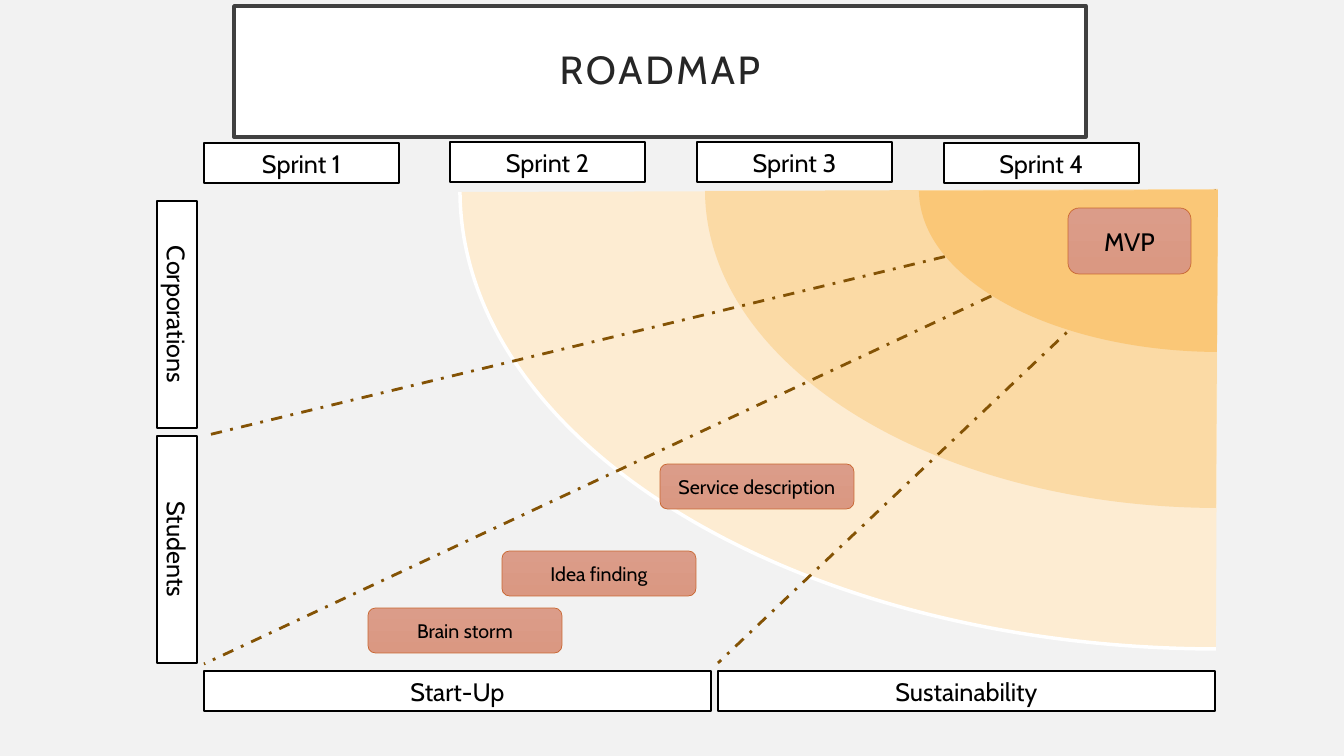
import copy
import pptx
import pptx.util
import pptx.dml.color
import pptx.enum.dml
import pptx.enum.shapes
import pptx.enum.text
import pptx.oxml.ns
import lxml.etree

RGB = pptx.dml.color.RGBColor
SHAPES = pptx.enum.shapes.MSO_SHAPE
MIDDLE = pptx.enum.text.MSO_ANCHOR.MIDDLE
CENTER = pptx.enum.text.PP_ALIGN.CENTER

BACKGROUND = RGB(0xF2, 0xF2, 0xF2)
WHITE = RGB(0xFF, 0xFF, 0xFF)
BLACK = RGB(0, 0, 0)
TITLE_TEXT = RGB(0x26, 0x26, 0x26)
TITLE_LINE = RGB(0x40, 0x40, 0x40)
RAY = RGB(0x84, 0x53, 0x05)
CARD_TOP = RGB(0xDB, 0x9C, 0x89)
CARD_BOTTOM = RGB(0xDA, 0x98, 0x82)
CARD_LINE = RGB(0xC9, 0x67, 0x31)
OUTER = RGB(0xFD, 0xEC, 0xD2)
MIDDLE_RING = RGB(0xFB, 0xDA, 0xA5)
INNER = RGB(0xFA, 0xC7, 0x77)
FONT = "Cabin"

# Content: places are left, top, width, height in pixels
TITLE = ("ROADMAP", (234, 6, 852, 131))
SPRINTS = [("Sprint 1", 204, 143), ("Sprint 2", 450, 142),
           ("Sprint 3", 697, 142), ("Sprint 4", 944, 143)]  # left, top
PHASES = [("Start-Up", 204, 507), ("Sustainability", 718, 497)]  # left, width
GROUPS = [("Corporations", 201), ("Students", 436)]  # visible top
CARDS = [
    ("Brain storm", (368, 608, 194, 45), 14),
    ("Service description", (660, 464, 194, 45), 14),
    ("Idea finding", (502, 551, 194, 45), 14),
    ("MVP", (1068, 208, 123, 66), 18),
]
# Each ring: four Bezier points of its arc, then its top right corner
OUTER_RING = [(1216, 649), (799, 648), (462, 445), (460, 192), (1218, 190)]
MID_RING = [(1216, 508), (934, 507), (706, 366), (705, 191), (1218, 189)]
INNER_RING = [(1217, 352), (1052, 351), (920, 279), (919, 191), (1218, 190)]
RAY_START = (1216, 191)
RAY_ENDS = [(204, 664), (718, 663), (204, 436)]

SCALE = 914400 / 100.8
BAR_HEIGHT = 40
SPRINT_WIDTH = 195
GROUP_LENGTH = 227


def px(*values):
    return [pptx.util.Emu(round(value * SCALE)) for value in values]


def outline(shape, color, width):
    shape.line.color.rgb = color
    shape.line.width = pptx.util.Pt(width)


def write(shape, text, size, color=BLACK):
    frame = shape.text_frame
    frame.word_wrap = True
    frame.vertical_anchor = MIDDLE
    para = frame.paragraphs[0]
    para.alignment = CENTER
    span = para.add_run()
    span.text = text
    span.font.name = FONT
    span.font.size = pptx.util.Pt(size)
    span.font.color.rgb = color
    return span


def add_label(text, place, rotation=0):
    box = page.shapes.add_textbox(*px(*place))
    box.fill.solid()
    box.fill.fore_color.rgb = WHITE
    outline(box, BLACK, 1)
    box.rotation = rotation
    write(box, text, 18)


def add_card(text, place, size):
    card = page.shapes.add_shape(SHAPES.FLOWCHART_ALTERNATE_PROCESS, *px(*place))
    card.shadow.inherit = False
    card.fill.gradient()
    card.fill.gradient_angle = 270
    for stop, color in zip(card.fill.gradient_stops, (CARD_TOP, CARD_BOTTOM)):
        stop.color.rgb = color
    outline(card, CARD_LINE, 0.5)
    write(card, text, size)


def add_ring(ring, color, edge=None):
    points = [px(*point) for point in ring]
    builder = page.shapes.build_freeform(*points[0], scale=1.0)
    builder.add_line_segments(points[1:], close=True)
    shape = builder.convert_to_shape()
    shape.shadow.inherit = False
    shape.fill.solid()
    shape.fill.fore_color.rgb = color

    # Turn the first three segments into one curve
    area = next(shape._element.iter(pptx.oxml.ns.qn("a:path")))
    curve = lxml.etree.Element(pptx.oxml.ns.qn("a:cubicBezTo"))
    for segment in list(area)[1:4]:
        curve.append(segment[0])
        area.remove(segment)
    area.insert(1, curve)

    if edge is None:
        shape.line.fill.background()
        return
    # Stroke only the curve, and fill without a stroke
    outline(shape, edge, 2.5)
    rim = copy.deepcopy(area)
    for segment in list(rim)[2:]:
        rim.remove(segment)
    rim.set("fill", "none")
    area.set("stroke", "0")
    area.addprevious(rim)


deck = pptx.Presentation()
deck.slide_width, deck.slide_height = px(1344, 756)
page = deck.slides.add_slide(deck.slide_layouts[5])
page.background.fill.solid()
page.background.fill.fore_color.rgb = BACKGROUND

# Title
title = page.shapes.title
title.left, title.top, title.width, title.height = px(*TITLE[1])
title.fill.solid()
title.fill.fore_color.rgb = WHITE
outline(title, TITLE_LINE, 2.5)
title_span = write(title, TITLE[0], 28, TITLE_TEXT)
title_span._r.get_or_add_rPr().set("spc", "200")
frame = title.text_frame
frame.auto_size = pptx.enum.text.MSO_AUTO_SIZE.NONE
frame.paragraphs[0].line_spacing = 0.9
frame.margin_left = frame.margin_right = pptx.util.Inches(0.2)
frame.margin_top = frame.margin_bottom = pptx.util.Inches(0.2)

# Outer rings
add_ring(OUTER_RING, OUTER, WHITE)
add_ring(MID_RING, MIDDLE_RING)

# Dashed rays, covered at their start by the inner ring
for end in RAY_ENDS:
    ray = page.shapes.add_connector(
        pptx.enum.shapes.MSO_CONNECTOR.STRAIGHT, *px(*RAY_START, *end))
    outline(ray, RAY, 2)
    ray.line.dash_style = pptx.enum.dml.MSO_LINE.DASH_DOT
    lxml.etree.SubElement(ray._element.spPr, pptx.oxml.ns.qn("a:effectLst"))
add_ring(INNER_RING, INNER)

# Axis labels
for sprint, left, top in SPRINTS:
    add_label(sprint, (left, top, SPRINT_WIDTH, BAR_HEIGHT))
for phase, left, width in PHASES:
    add_label(phase, (left, 671, width, BAR_HEIGHT))
turn_shift = (GROUP_LENGTH - BAR_HEIGHT) / 2
for group, top in GROUPS:
    add_label(group, (157 - turn_shift, top + turn_shift, GROUP_LENGTH, BAR_HEIGHT), 90)

# Milestone cards
for card_content in CARDS:
    add_card(*card_content)

deck.save("out.pptx")
